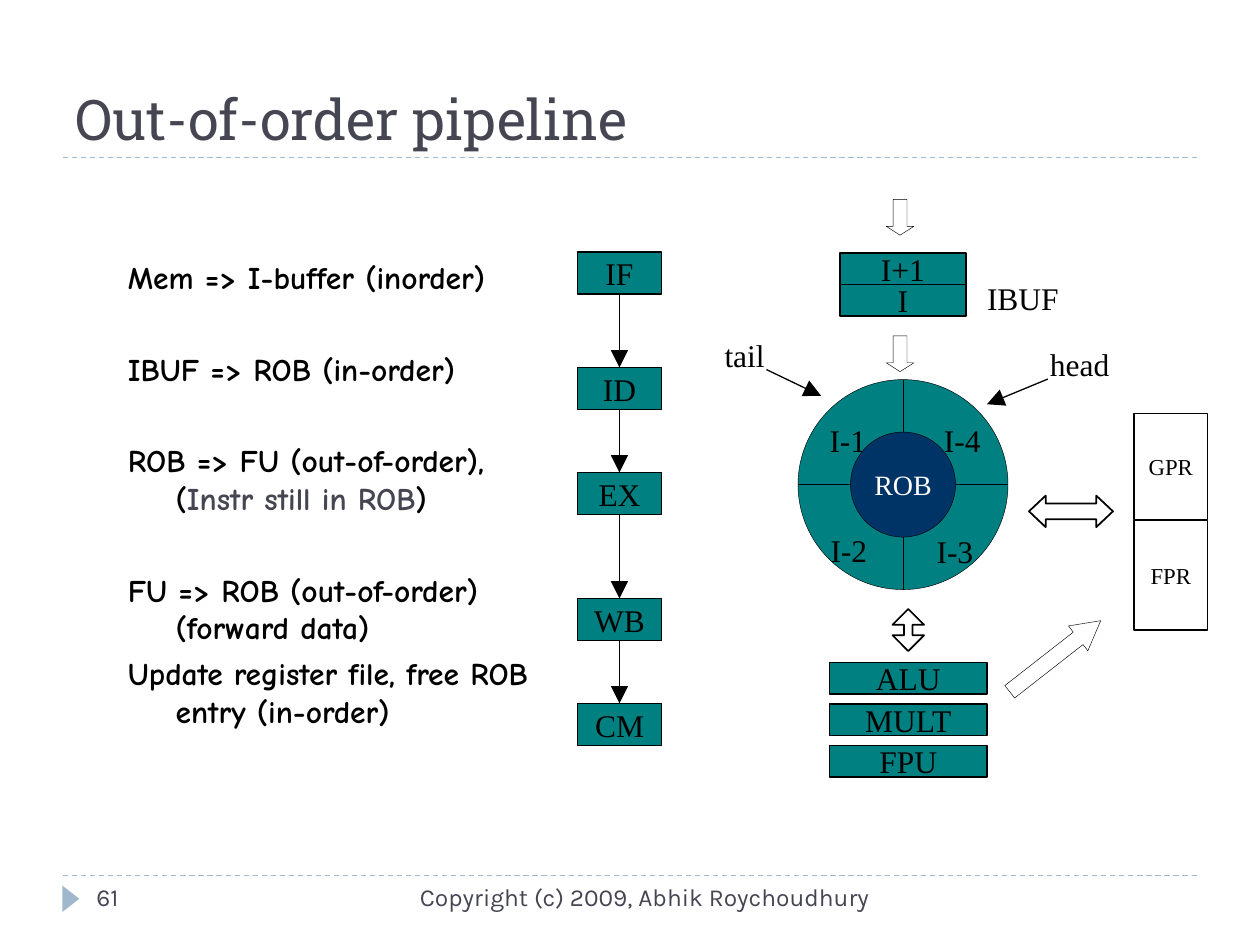
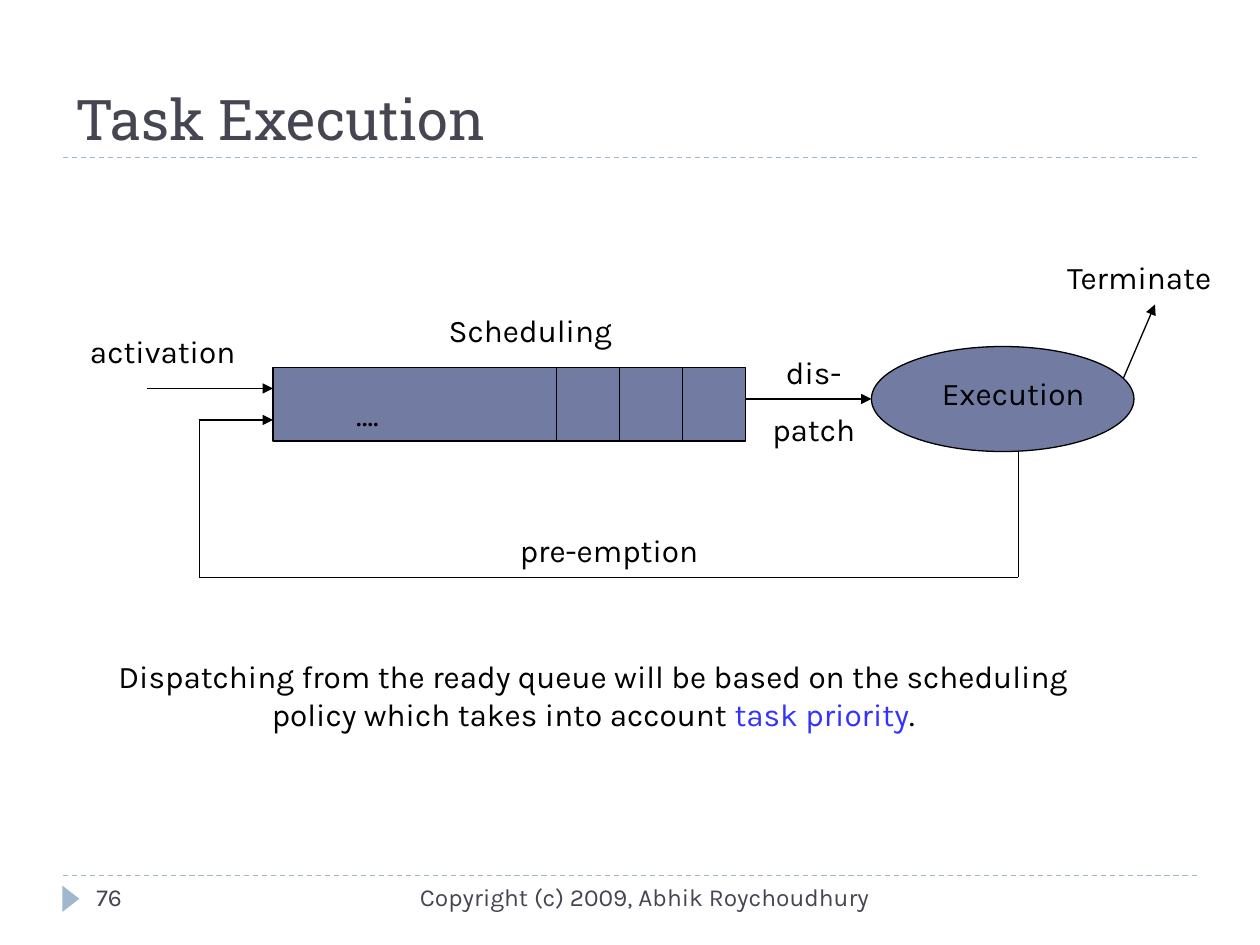
from itertools import pairwise

from lxml.etree import SubElement
from pptx import Presentation
from pptx.dml.color import RGBColor
from pptx.enum.dml import MSO_LINE
from pptx.enum.shapes import MSO_CONNECTOR, MSO_SHAPE as Preset
from pptx.enum.text import MSO_ANCHOR as Anchor, PP_ALIGN as Align
from pptx.oxml.ns import qn
from pptx.util import Inches, Pt

# Lengths are in grid units: twelve to the inch, so a slide is 120 x 90.
UNIT = Inches(1) / 12
COLUMNS, ROWS = 120, 90

BLACK = RGBColor(0x00, 0x00, 0x00)
WHITE = RGBColor(0xFF, 0xFF, 0xFF)
SLATE = RGBColor(0x46, 0x46, 0x53)
MIST = RGBColor(0x9F, 0xB8, 0xCD)
TEAL = RGBColor(0x00, 0x80, 0x80)
NAVY = RGBColor(0x00, 0x33, 0x66)
INDIGO = RGBColor(0x72, 0x7C, 0xA3)
BLUE = RGBColor(0x33, 0x33, 0xFF)

TITLE = dict(name="Roboto Slab", size=Pt(32), color=SLATE)
FOOTER = dict(name="Karla", size=Pt(14), color=SLATE)
NOTES = dict(name="Comic Neue", size=Pt(18), color=BLACK, bold=True)
DIAGRAM = dict(name="Times New Roman", size=Pt(18), color=BLACK)
REGISTER = DIAGRAM | dict(size=Pt(13))
CORE = DIAGRAM | dict(size=Pt(16), color=WHITE)
TASK = dict(name="Karla", size=Pt(18), color=BLACK)

HAIR, THIN, MEDIUM = 0.25, 0.75, 1
PADDING = (0.1, 0.05)

# Shared frame
COPYRIGHT = "Copyright (c) 2009, Abhik Roychoudhury"
MARGIN, TITLE_RULE, FOOTER_RULE = 6, 15, 83.4

# Out-of-order pipeline
STEPS = [  # runs of the step, space before in points
    (["Mem => I-buffer (inorder)"], 0),
    (["IBUF => ROB (in-order)"], 30.7),
    (["ROB => FU (out-of-order), (", ("Instr still in ROB", SLATE), ")"], 30.7),
    (["FU => ROB (out-of-order) (forward data)"], 30.7),
    (["Update register file, free ROB entry (in-order)"], 4.5),
]
STAGES = [("IF", 24), ("ID", 35), ("EX", 45), ("WB", 57), ("CM", 67)]
BUFFER = ["I+1", "I"]
UNITS = ["ALU", "MULT", "FPU"]
REGISTERS = [("GPR", 39.4, 10.1), ("FPR", 49.6, 10.4)]
RING_X, RING_Y, RING_R, CORE_R = 86, 46.15, 10, 5
PIPELINE_LABELS = [
    ("I-1", 79, 40.3, 5.4), ("I-4", 89.9, 40.3, 5.2),
    ("I-2", 79.1, 50.8, 5), ("I-3", 89.2, 50.9, 5),
    ("head", 100, 33.1, 6), ("tail", 69, 32.2, 4),
    ("IBUF", 94, 26.8, 17.6),
]
POINTERS = [((73, 35.2), (78.2, 37.7)), ((99.8, 36.1), (94, 38.5))]
BLOCK_ARROWS = [  # shape, box, head share, line width, turn
    (Preset.DOWN_ARROW, (84.4, 19, 2.64, 3.4), 0.32, HAIR, 0),
    (Preset.DOWN_ARROW, (84.4, 32, 2.64, 3.4), 0.32, HAIR, 0),
    (Preset.RIGHT_ARROW, (95, 61, 11, 3), 0.91, HAIR, 322),
    (Preset.UP_DOWN_ARROW, (85, 58, 3, 4), 0.27, MEDIUM, 0),
    (Preset.LEFT_RIGHT_ARROW, (98, 47.2, 8, 3), 0.53, MEDIUM, 0),
]

# Task execution
QUEUE = (26, 35, 45, 7)
EXECUTION = (83, 33, 25, 10)
SLOT, SLOTS = 6, 3
FLOWS = [  # activation, dispatch, terminate, pre-emption
    [(14, 37), (26, 37)],
    [(71, 38), (83, 38)],
    [(107, 36), (110, 29)],
    [(97, 43), (97, 55), (19, 55), (19, 40), (26, 40)],
]
TASK_LABELS = [
    (["Terminate"], (100, 24, 17, 4.8)),
    (["…."], (21, 37, 28, 4.8)),
    (["activation"], (7, 31, 17, 4.8)),
    (["pre-emption"], (41, 50, 34, 4.8)),
    (["Scheduling"], (34, 29, 33, 4.8)),
    (["dis-", "patch"], (72, 33, 11, 10.3)),
    (["Execution"], (88, 35, 17, 4.8)),
]
POLICY = ["Dispatching from the ready queue will be based on the scheduling "
          "policy which takes into account ", ("task priority", BLUE), "."]


def grid(*lengths):
    return [round(length * UNIT) for length in lengths]


def write(holder, paragraphs, style, align=Align.LEFT, anchor=Anchor.TOP,
          padding=(0, 0), wrap=True, **spacing):
    """Fill a shape; each paragraph is a list of texts or (text, colour) runs."""
    frame = holder.text_frame
    across, down = map(Inches, padding)
    layout = dict(word_wrap=wrap, vertical_anchor=anchor, margin_left=across,
                  margin_right=across, margin_top=down, margin_bottom=down)
    for key, value in layout.items():
        setattr(frame, key, value)
    for index, runs in enumerate(paragraphs):
        paragraph = frame.add_paragraph() if index else frame.paragraphs[0]
        paragraph.alignment = align
        for key, value in spacing.items():
            if index or key != "space_before":
                setattr(paragraph, key, value)
        for part in runs:
            text, color = part if isinstance(part, tuple) else (part, style["color"])
            run = paragraph.add_run()
            run.text = text
            for key, value in style.items():
                if key != "color":
                    setattr(run.font, key, value)
            run.font.color.rgb = color
    return frame


def add_text(slide, box, paragraphs, style, **options):
    return write(slide.shapes.add_textbox(*grid(*box)), paragraphs, style, **options)


def add_block(slide, preset, box, fill=None, line=None, text=None, style=DIAGRAM):
    block = slide.shapes.add_shape(preset, *grid(*box))
    block.shadow.inherit = False
    if fill is None:
        block.fill.background()
    else:
        block.fill.solid()
        block.fill.fore_color.rgb = fill
    if line is None:
        block.line.fill.background()
    else:
        block.line.color.rgb = BLACK
        block.line.width = Pt(line)
    if text:
        write(block, [[text]], style, align=Align.CENTER, anchor=Anchor.MIDDLE,
              wrap=False)
    return block


def add_line(slide, start, end, width=THIN, color=BLACK, dash=None, head=None):
    """Draw a line; head is the arrowhead size at its end (med or lg)."""
    line = slide.shapes.add_connector(MSO_CONNECTOR.STRAIGHT, *grid(*start, *end))
    line.line.color.rgb = color
    line.line.width = Pt(width)
    if dash:
        line.line.dash_style = dash
    properties = line._element.spPr
    if head:
        SubElement(properties.find(qn("a:ln")), qn("a:tailEnd"),
                   type="triangle", w=head, len=head)
    SubElement(properties, qn("a:effectLst"))
    return line


def add_framed_slide(deck, title, number):
    slide = deck.slides.add_slide(deck.slide_layouts[6])
    for y in (FOOTER_RULE, TITLE_RULE):
        add_line(slide, (MARGIN, y), (COLUMNS - MARGIN, y), color=MIST,
                 dash=MSO_LINE.DASH)
    marker = add_block(slide, Preset.ISOSCELES_TRIANGLE, (5.5, 84.8, 2.5, 1.6), MIST)
    marker.rotation = 90
    add_text(slide, (MARGIN, 2, COLUMNS - 2 * MARGIN, TITLE_RULE - 2), [[title]],
             TITLE, anchor=Anchor.BOTTOM, padding=PADDING)
    add_text(slide, (38, FOOTER_RULE, 46, 4.8), [[COPYRIGHT]], FOOTER,
             align=Align.RIGHT, padding=PADDING)
    add_text(slide, (8, FOOTER_RULE, 26, 4.8), [[str(number)]], FOOTER,
             padding=PADDING)
    return slide


def circle(radius):
    return RING_X - radius, RING_Y - radius, 2 * radius, 2 * radius


def draw_reorder_buffer(slide):
    add_block(slide, Preset.OVAL, circle(RING_R), TEAL, HAIR)
    for dx, dy in ((RING_R, 0), (0, RING_R)):
        add_line(slide, (RING_X - dx, RING_Y - dy), (RING_X + dx, RING_Y + dy), HAIR)
    for text, x, y, width in PIPELINE_LABELS:
        add_text(slide, (x, y, width, 3.5), [[text]], DIAGRAM, line_spacing=0.97)
    for start, end in POINTERS:
        add_line(slide, start, end, head="lg")
    add_block(slide, Preset.OVAL, circle(CORE_R), NAVY, HAIR, "ROB", CORE)


def draw_pipeline(deck):
    slide = add_framed_slide(deck, "Out-of-order pipeline", 61)
    draw_reorder_buffer(slide)
    for preset, box, head, width, turn in BLOCK_ARROWS:
        arrow = add_block(slide, preset, box, line=width)
        arrow.adjustments[1] = head
        arrow.rotation = turn
    for name, y, height in REGISTERS:
        add_block(slide, Preset.RECTANGLE, (108, y, 7, height), None, THIN, name,
                  REGISTER)
    for row, name in enumerate(UNITS):
        add_block(slide, Preset.RECTANGLE, (79, 63.1 + 3.95 * row, 15, 3), TEAL,
                  MEDIUM, name)
    for row, name in enumerate(BUFFER):
        add_block(slide, Preset.RECTANGLE, (80, 24.1 + 3 * row, 12, 3), TEAL,
                  MEDIUM, name)

    stages = [add_block(slide, Preset.RECTANGLE, (55, y, 8, 4), TEAL, MEDIUM, name)
              for name, y in STAGES]
    for before, after in pairwise(stages):
        arrow = add_line(slide, (59, 0), (59, 0), MEDIUM, head="lg")
        arrow.begin_connect(before, 2)
        arrow.end_connect(after, 0)

    steps = add_text(slide, (11, 24, 41, 50), [runs for runs, _ in STEPS], NOTES,
                     padding=PADDING)
    for paragraph, (_, gap) in zip(steps.paragraphs, STEPS):
        paragraph.space_before = Pt(gap)
        indent = Inches(0.38)
        paragraph._p.get_or_add_pPr().set("marL", str(indent))
        paragraph._p.get_or_add_pPr().set("indent", str(-indent))


def draw_task_execution(deck):
    slide = add_framed_slide(deck, "Task Execution", 76)
    add_block(slide, Preset.RECTANGLE, QUEUE, INDIGO, THIN)
    add_block(slide, Preset.OVAL, EXECUTION, INDIGO, THIN)
    left, top, width, height = QUEUE
    for slot in range(1, SLOTS + 1):
        x = left + width - slot * SLOT
        add_line(slide, (x, top), (x, top + height))
    for points in FLOWS:
        for start, end in pairwise(points):
            add_line(slide, start, end, head="med" if end == points[-1] else None)
    for lines, box in TASK_LABELS:
        add_text(slide, box, [[line] for line in lines], TASK, align=Align.CENTER,
                 padding=PADDING, space_before=Pt(11.2))
    add_text(slide, (10, 62, 93, 8.4), [POLICY], TASK, align=Align.CENTER,
             padding=PADDING)


def main():
    deck = Presentation()
    deck.slide_width, deck.slide_height = grid(COLUMNS, ROWS)
    draw_pipeline(deck)
    draw_task_execution(deck)
    deck.save("out.pptx")


if __name__ == "__main__":
    main()
